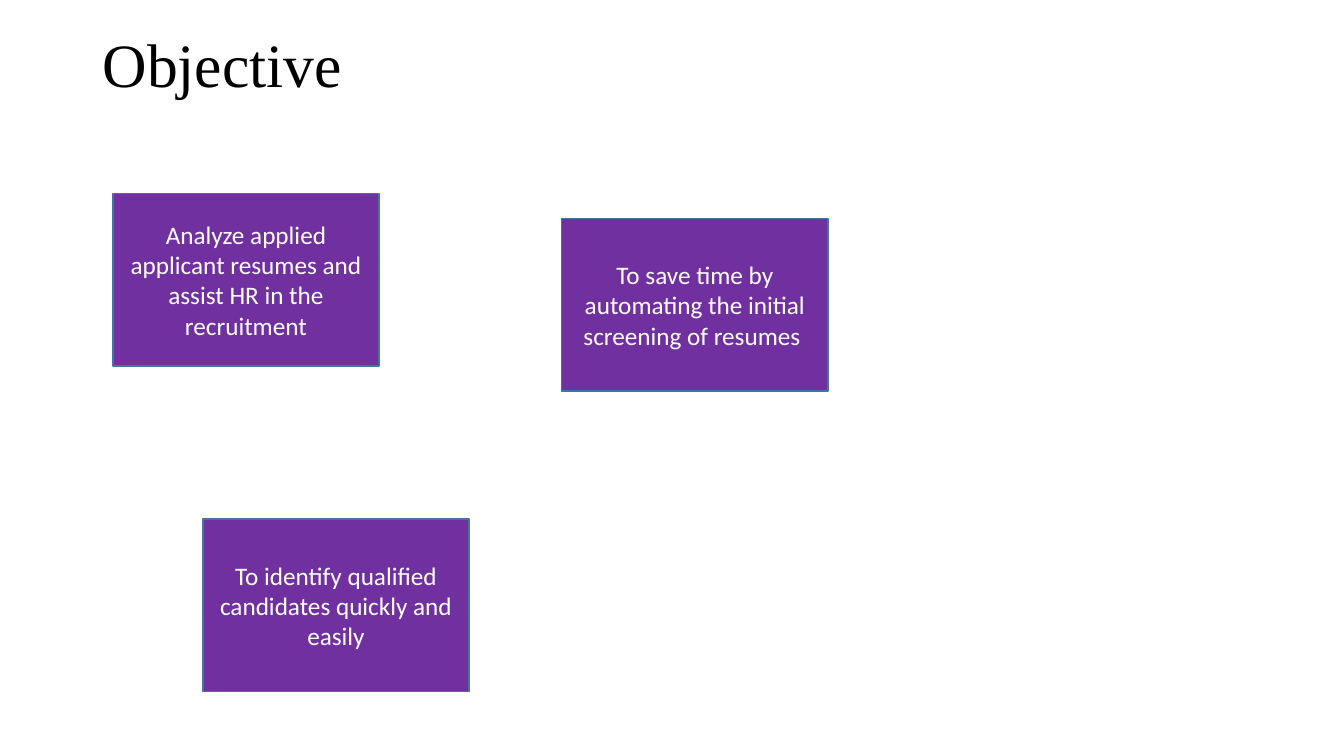
from dataclasses import dataclass

from pptx import Presentation
from pptx.dml.color import RGBColor
from pptx.enum.shapes import MSO_SHAPE
from pptx.enum.text import MSO_ANCHOR, PP_ALIGN
from pptx.util import Inches, Pt


@dataclass(frozen=True)
class Theme:
    ink: str = "000000"
    paper: str = "FFFFFF"
    card: str = "7030A0"
    outline: str = "43739E"
    title_font: str = "Times New Roman"
    body_font: str = "Calibri"
    title_size: int = 44
    body_size: int = 18
    outline_width: int = 1


def write(sp, text, *, font, size, color, align=PP_ALIGN.LEFT, spacing=1.0):
    tf = sp.text_frame
    tf.word_wrap = True
    tf.vertical_anchor = MSO_ANCHOR.MIDDLE
    p = tf.paragraphs[0]
    p.alignment = align
    p.line_spacing = spacing
    r = p.add_run()
    r.text = text
    r.font.name = font
    r.font.size = Pt(size)
    r.font.color.rgb = RGBColor.from_string(color)


class Deck:
    """Holds the theme and the current slide; lengths are percent of the slide."""

    def __init__(self, theme):
        self.theme = theme
        self.prs = Presentation()
        self.prs.slide_width, self.prs.slide_height = Inches(13.333), Inches(7.5)
        self.s = self.prs.slides.add_slide(self.prs.slide_layouts[6])

    def area(self, x, y, w, h):
        width, height = self.prs.slide_width, self.prs.slide_height
        return [round(share * full / 100) for share, full in
                ((x, width), (y, height), (w, width), (h, height))]

    def title(self, text, *box):
        t = self.theme
        sp = self.s.shapes.add_textbox(*self.area(*box))
        write(sp, text, font=t.title_font, size=t.title_size, color=t.ink, spacing=0.9)

    def card(self, text, *box):
        t = self.theme
        sp = self.s.shapes.add_shape(MSO_SHAPE.RECTANGLE, *self.area(*box))
        sp.shadow.inherit = False
        sp.fill.solid()
        sp.fill.fore_color.rgb = RGBColor.from_string(t.card)
        sp.line.color.rgb = RGBColor.from_string(t.outline)
        sp.line.width = Pt(t.outline_width)
        write(sp, text, font=t.body_font, size=t.body_size, color=t.paper,
              align=PP_ALIGN.CENTER)


deck = Deck(Theme())

# Heading
deck.title("Objective", 6.9, 3.07, 86.25, 11.73)

# Objectives: equal cards, each with its left and top
CARD_SIZE = 19.8, 22.8
OBJECTIVES = [
    ("Analyze applied applicant resumes and assist HR in the recruitment", 8.4, 25.6),
    ("To identify qualified candidates quickly and easily", 15.1, 68.67),
    ("To save time by automating the initial screening of resumes ", 41.8, 28.93),
]
for text, left, top in OBJECTIVES:
    deck.card(text, left, top, *CARD_SIZE)

deck.prs.save("out.pptx")
